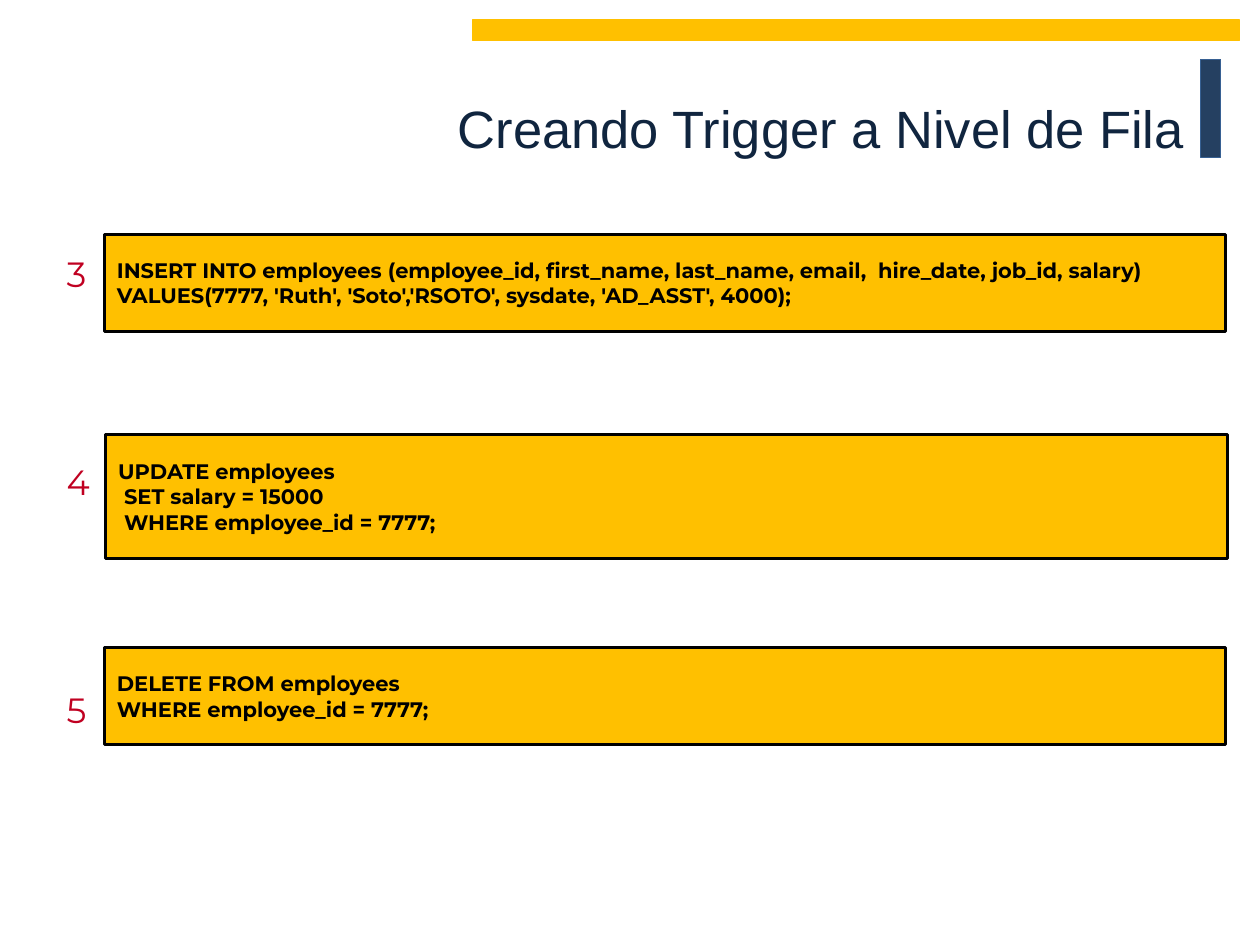
from pptx import Presentation
from pptx.dml.color import RGBColor
from pptx.enum.shapes import MSO_SHAPE as Shape
from pptx.enum.text import MSO_ANCHOR as Anchor, PP_ALIGN as Align
from pptx.util import Inches, Pt

# Content
TITLE = "Creando Trigger a Nivel de Fila"
# number, number top, box (left, top, width, height), code lines
STATEMENTS = [
    ("3", 2.02, (0.83, 1.86, 8.9, 0.77), [
        "INSERT INTO employees (employee_id, first_name, last_name, email,  hire_date, job_id, salary)",
        "VALUES(7777, 'Ruth', 'Soto','RSOTO', sysdate, 'AD_ASST', 4000);"]),
    ("4", 3.67, (0.84, 3.45, 8.9, 0.98), [
        "UPDATE employees",
        " SET salary = 15000",
        " WHERE employee_id = 7777;"]),
    ("5", 5.48, (0.83, 5.14, 8.9, 0.77), [
        "DELETE FROM employees",
        "WHERE employee_id = 7777;"]),
]
# place, fill, line
BARS = [
    ((9.53, 0.47, 0.16, 0.78), "254061", "376092"),
    ((3.75, 0.16, 6.09, 0.16), "FFC000", "FFC000"),
]

# Formats
TITLE_FONT = {"name": "Arial", "size": Pt(30), "bold": False}
CODE_FONT = {"name": "Montserrat", "size": Pt(12), "bold": True}
NUMBER_FONT = {"name": "Montserrat", "size": Pt(20), "bold": False}


def paint(target, color):
    target.rgb = RGBColor.from_string(color)


def add_rectangle(page, place, fill, line, weight):
    box = page.shapes.add_shape(Shape.RECTANGLE, *map(Inches, place))
    box.shadow.inherit = False
    box.fill.solid()
    paint(box.fill.fore_color, fill)
    paint(box.line.color, line)
    box.line.width = Pt(weight)
    return box


def write(box, lines, font, color, align, anchor, spacing=1.0):
    frame = box.text_frame
    frame.word_wrap = True
    frame.vertical_anchor = anchor
    for index, text in enumerate(lines):
        para = frame.add_paragraph() if index else frame.paragraphs[0]
        para.alignment = align
        para.line_spacing = spacing
        span = para.add_run()
        span.text = text
        for key, value in font.items():
            setattr(span.font, key, value)
        paint(span.font.color, color)


def main():
    deck = Presentation()
    deck.slide_width, deck.slide_height = Inches(10), Inches(7.5)
    page = deck.slides.add_slide(deck.slide_layouts[5])

    # Title and decorative bars
    title = page.shapes.title
    title.left, title.top, title.width, title.height = map(Inches, (0.98, 0.21, 8.52, 1.6))
    write(title, [TITLE], TITLE_FONT, "10253F", Align.RIGHT, Anchor.MIDDLE)
    for place, fill, line in BARS:
        add_rectangle(page, place, fill, line, 0.75)

    # Numbered statements
    for number, top, place, code in STATEMENTS:
        box = add_rectangle(page, place, "FFC000", "000000", 1.75)
        write(box, code, CODE_FONT, "000000", Align.LEFT, Anchor.MIDDLE)
        label = page.shapes.add_textbox(*map(Inches, (0.43, top, 0.31, 0.45)))
        write(label, [number], NUMBER_FONT, "C00021", Align.JUSTIFY, Anchor.TOP, 0.8)

    deck.save("out.pptx")


if __name__ == "__main__":
    main()
